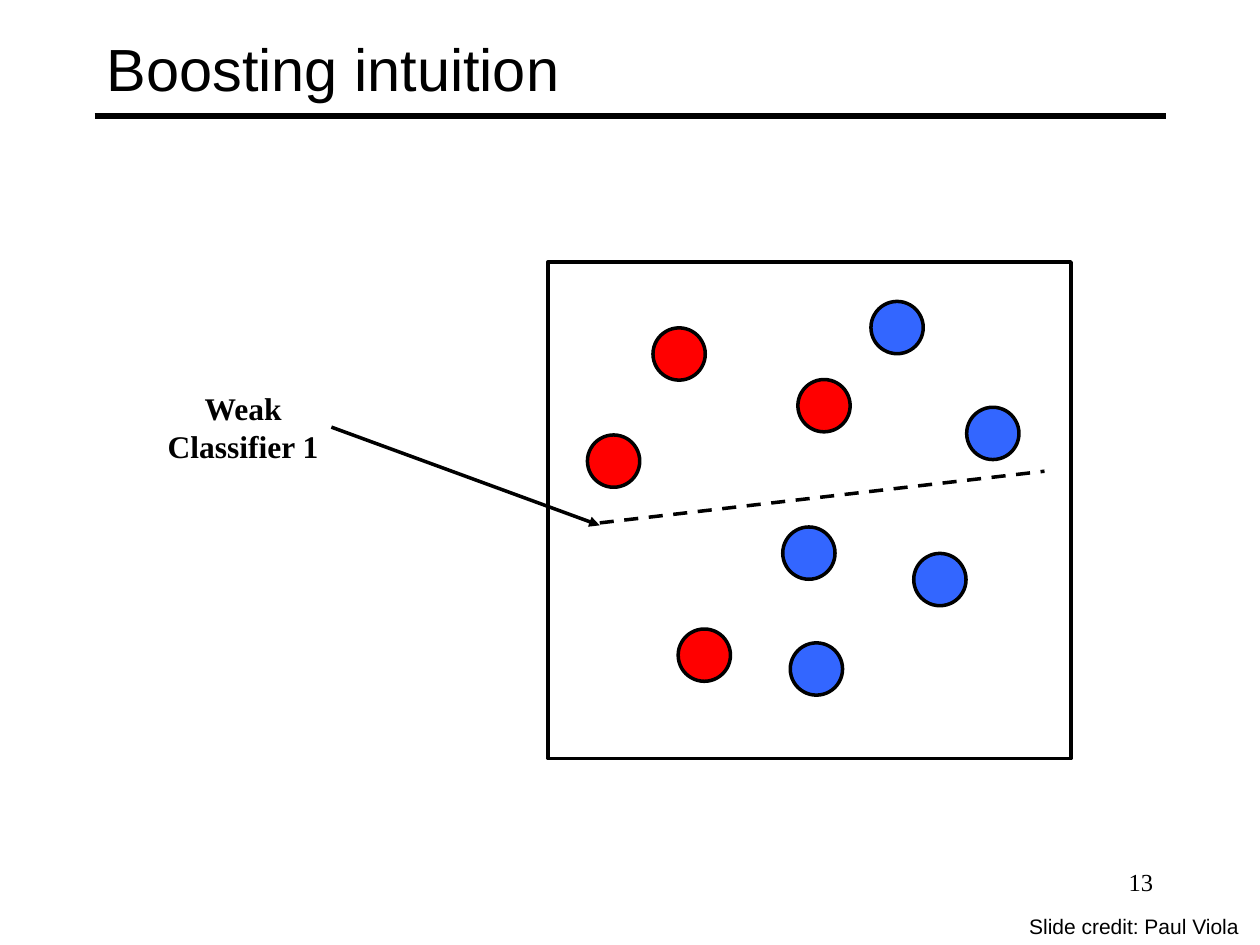
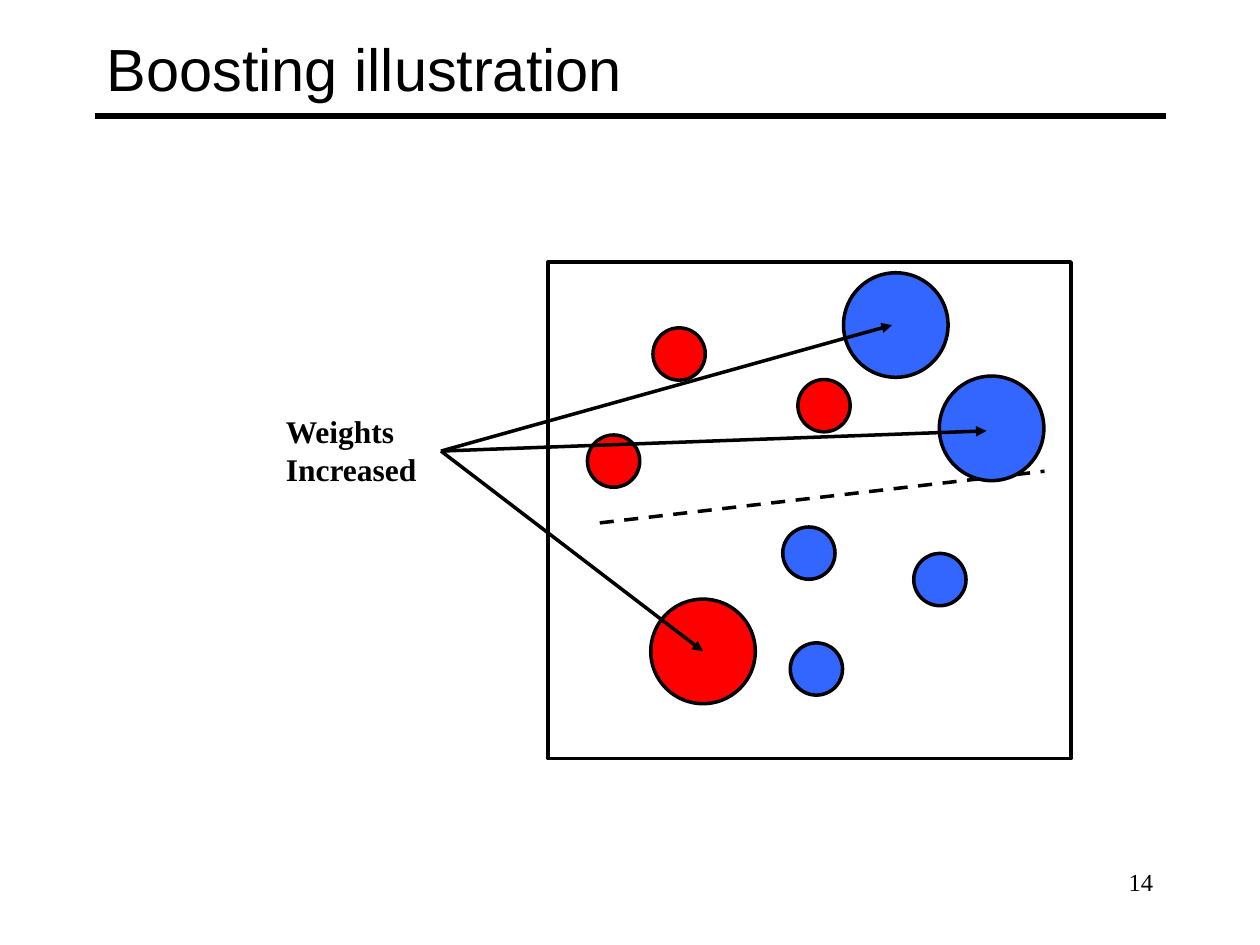
from lxml.etree import SubElement
from pptx import Presentation
from pptx.dml.color import RGBColor
from pptx.enum.dml import MSO_LINE
from pptx.enum.shapes import MSO_CONNECTOR, MSO_SHAPE
from pptx.enum.text import MSO_ANCHOR, PP_ALIGN
from pptx.oxml.ns import qn
from pptx.util import Inches, Pt

COLORS = {"ink": "000000", "red": "FF0000", "blue": "3366FF"}
SANS, SERIF = "Arial", "Times New Roman"
COLS, ROWS = 100, 75
SMALL, LARGE = 4.15, 8.3
RIGHT = 3

RED = [(53.9, 28.1), (65.4, 32.2), (48.7, 36.6)]
BLUE = [(74.6, 46), (64.2, 43.9), (64.8, 53.1)]
MISSED = [("blue", 71.2, 26), ("blue", 78.8, 34.4), ("red", 55.9, 52)]
GROWN = [("blue", 71.1, 25.8), ("blue", 78.7, 34), ("red", 55.8, 51.7)]
TIPS = [(70.8, 25.8), (78.3, 34.2), (55.8, 51.7)]
SPLIT = (47.6, 41.5), (82.9, 37.4)


def color(name):
    return RGBColor.from_string(COLORS[name])


def write(frame, text, size=18, font=SANS, bold=False, align=PP_ALIGN.LEFT,
          anchor=MSO_ANCHOR.TOP, wrap=True):
    frame.word_wrap = wrap
    frame.vertical_anchor = anchor
    frame.text = text
    for par in frame.paragraphs:
        par.alignment = align
        par.font.size = Pt(size)
        par.font.name = font
        par.font.bold = bold
        par.font.color.rgb = color("ink")


class Deck:
    def __init__(self):
        self.prs = Presentation()
        self.prs.slide_width = Inches(10)
        self.prs.slide_height = Inches(7.5)
        self.slide = None

    def x(self, col):
        return round(self.prs.slide_width * col / COLS)

    def y(self, row):
        return round(self.prs.slide_height * row / ROWS)

    def box(self, left, top, width, height):
        return self.x(left), self.y(top), self.x(width), self.y(height)

    def start(self, title, number):
        self.slide = self.prs.slides.add_slide(self.prs.slide_layouts[6])
        self.line((7.5, 9.2), (92.5, 9.2), width=3)
        self.text(title, 7.5, 0.8, 85, 9.2, size=34, anchor=MSO_ANCHOR.MIDDLE)
        self.text(str(number), 71.7, 68.3, 20.8, 5, size=14, font=SERIF,
                  align=PP_ALIGN.RIGHT)

    def text(self, text, left, top, width, height, **style):
        area = self.slide.shapes.add_textbox(*self.box(left, top, width, height))
        write(area.text_frame, text, **style)
        return area

    def label(self, text, left, top, width, **style):
        return self.text(text, left, top, width, 7, font=SERIF, bold=True,
                         wrap=False, **style)

    def shape(self, kind, left, top, width, height, fill=None):
        item = self.slide.shapes.add_shape(kind, *self.box(left, top, width, height))
        item.shadow.inherit = False
        item.line.color.rgb = color("ink")
        item.line.width = Pt(2)
        if fill:
            item.fill.solid()
            item.fill.fore_color.rgb = color(fill)
        else:
            item.fill.background()

    def dot(self, fill, col, row, size=SMALL):
        self.shape(MSO_SHAPE.OVAL, col - size / 2, row - size / 2, size, size, fill)

    def line(self, start, end, width=2, dash=False, arrow=False, source=None):
        link = self.slide.shapes.add_connector(
            MSO_CONNECTOR.STRAIGHT, self.x(start[0]), self.y(start[1]),
            self.x(end[0]), self.y(end[1]))
        link.line.color.rgb = color("ink")
        link.line.width = Pt(width)
        if dash:
            link.line.dash_style = MSO_LINE.DASH
        if arrow:
            SubElement(link.line._get_or_add_ln(), qn("a:tailEnd"), type="triangle")
        SubElement(link._element.spPr, qn("a:effectLst"))
        if source:
            link.begin_connect(source, RIGHT)

    def field(self):
        self.shape(MSO_SHAPE.RECTANGLE, 43.5, 20.8, 41.5, 39.4)
        for fill, spots in (("red", RED), ("blue", BLUE)):
            for col, row in spots:
                self.dot(fill, col, row)
        self.line(*SPLIT, dash=True)


def intuition(deck):
    deck.start("Boosting intuition", 13)
    deck.field()
    for spot in MISSED:
        deck.dot(*spot)
    note = deck.label("Weak\nClassifier 1", 12.3, 30.4, 14, align=PP_ALIGN.CENTER)
    deck.line((26.3, 33.9), (47.6, 41.7), arrow=True, source=note)
    deck.text("Slide credit: Paul Viola", 80.7, 72, 19.3, 3, size=12)


def growth(deck):
    deck.start("Boosting illustration", 14)
    deck.field()
    for spot in GROWN:
        deck.dot(*spot, size=LARGE)
    deck.label("Weights\nIncreased", 21.7, 32.2, 12.4)
    for tip in TIPS:
        deck.line((35, 35.8), tip, arrow=True)


def main():
    deck = Deck()
    intuition(deck)
    growth(deck)
    deck.prs.save("out.pptx")


if __name__ == "__main__":
    main()
